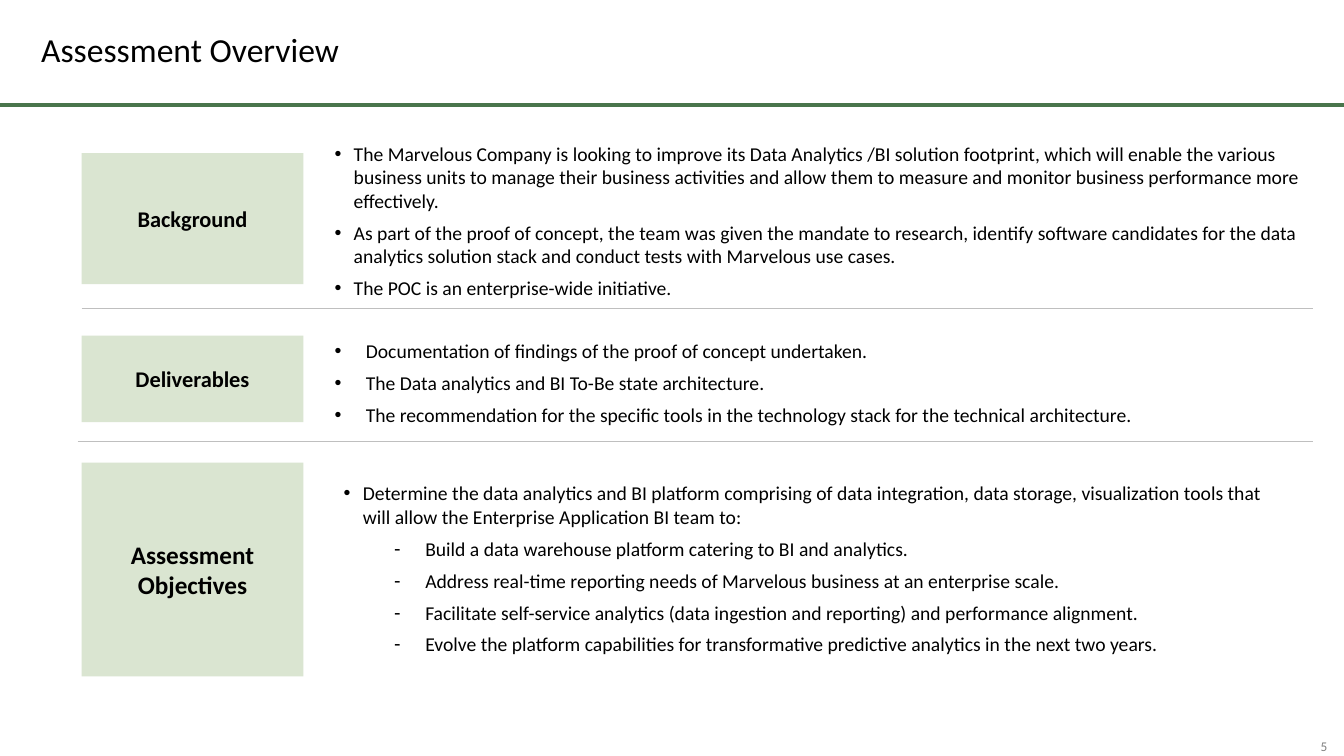
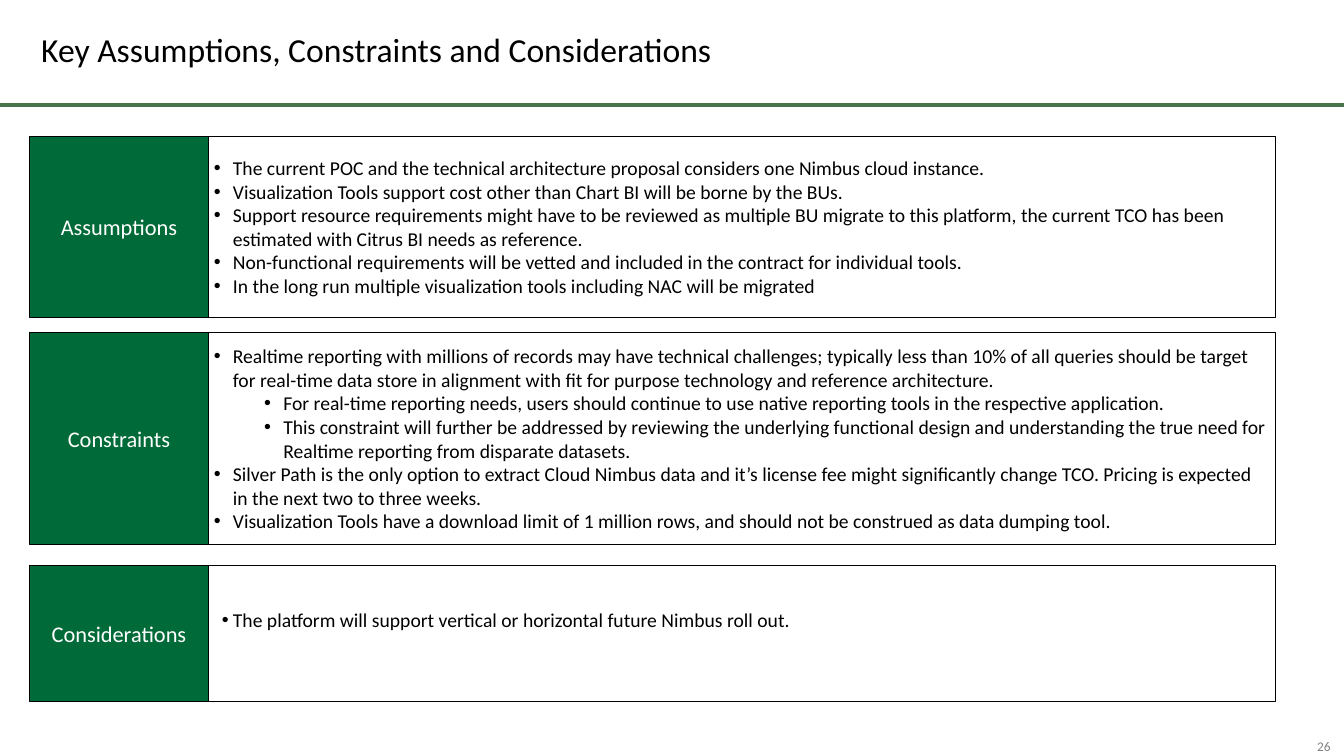
from lxml.etree import SubElement
from pptx import Presentation
from pptx.dml.color import RGBColor
from pptx.enum.shapes import MSO_CONNECTOR, MSO_SHAPE
from pptx.enum.text import MSO_ANCHOR, PP_ALIGN
from pptx.oxml.ns import qn
from pptx.util import Inches, Pt

COLORS = {
    "text": "000000", "inverse": "FFFFFF", "number": "808080", "rule": "49754C",
    "divider": "BFBFBF", "pale": "DAE5D1", "green": "006A38", "panel": "FFFFFF",
}
FONT = "Calibri"

# Size, colour, bold, alignment, line spacing
TEXT_STYLES = {
    "title": (24, "text", False, PP_ALIGN.LEFT, 0.9),
    "number": (9.5, "number", False, PP_ALIGN.CENTER, 1),
    "body": (14, "text", False, PP_ALIGN.LEFT, 1),
    "label": (16, "text", True, PP_ALIGN.CENTER, 1),
    "large label": (18, "text", True, PP_ALIGN.CENTER, 1),
    "green label": (16, "inverse", False, PP_ALIGN.CENTER, 1),
}

# Bullet sign, text indent, hanging indent (inches), outline level
BULLETS = {
    "bullet": ("•", 0.19, 0.19, 0),
    "wide": ("•", 0.31, 0.31, 0),
    "dash": ("‐", 0.81, 0.31, 1),
    "sub": ("•", 0.69, 0.19, 1),
    "tight": ("•", 0.19, 0.11, 0),
}


def add_box(slide, place, paragraphs, style, fill=None, outlined=False,
            insets=(0.1, 0.05, 0.1, 0.05), gap=0):
    """Add a text box or filled rectangle; paragraphs are (bullet, text) pairs."""
    bounds = [Inches(length) for length in place]
    if fill:
        shape = slide.shapes.add_shape(MSO_SHAPE.RECTANGLE, *bounds)
        shape.shadow.inherit = False
        shape.fill.solid()
        shape.fill.fore_color.rgb = RGBColor.from_string(COLORS[fill])
        if outlined:
            shape.line.color.rgb = RGBColor.from_string(COLORS["text"])
            shape.line.width = Pt(0.75)
        else:
            shape.line.fill.background()
    else:
        shape = slide.shapes.add_textbox(*bounds)

    frame = shape.text_frame
    frame.word_wrap = True
    frame.vertical_anchor = MSO_ANCHOR.MIDDLE
    for side, inset in zip(("left", "top", "right", "bottom"), insets):
        setattr(frame, f"margin_{side}", Inches(inset))

    size, color, bold, alignment, line_spacing = TEXT_STYLES[style]
    for index, (bullet, text) in enumerate(paragraphs):
        paragraph = frame.add_paragraph() if index else frame.paragraphs[0]
        layout = {"alignment": alignment, "line_spacing": line_spacing,
                  "space_before": Pt(gap if index else 0)}
        if bullet:
            sign, indent, hanging, layout["level"] = BULLETS[bullet]
        for name, value in layout.items():
            setattr(paragraph, name, value)
        if bullet:
            properties = paragraph._p.get_or_add_pPr()
            properties.set("marL", str(Inches(indent)))
            properties.set("indent", str(-Inches(hanging)))
            SubElement(properties, qn("a:buFont"), typeface="Arial")
            SubElement(properties, qn("a:buChar"), char=sign)
        run = paragraph.add_run()
        run.text = text
        for name, value in {"name": FONT, "size": Pt(size), "bold": bold}.items():
            setattr(run.font, name, value)
        run.font.color.rgb = RGBColor.from_string(COLORS[color])


def add_titled_slide(presentation, title, number, dividers=()):
    """Add a blank slide with title, number, header rule and (left, y) dividers."""
    slide = presentation.slides.add_slide(presentation.slide_layouts[6])
    lines = [(0, 13.33, 1.04, "rule", 2.75)]
    lines += [(left, 13.02, y, "divider", 0.5) for left, y in dividers]
    for left, right, y, color, width in lines:
        line = slide.shapes.add_connector(
            MSO_CONNECTOR.STRAIGHT, Inches(left), Inches(y), Inches(right), Inches(y))
        line.line.color.rgb = RGBColor.from_string(COLORS[color])
        line.line.width = Pt(width)
        SubElement(line._element.spPr, qn("a:effectLst"))
    add_box(slide, (0.31, 0.1, 12.71, 0.83), [(None, title)], "title")
    add_box(slide, (12.92, 7.32, 0.42, 0.17), [(None, number)], "number",
            insets=(0, 0, 0, 0))
    return slide


presentation = Presentation()
presentation.slide_width = Inches(13.33)
presentation.slide_height = Inches(7.5)

# Assessment overview
overview = add_titled_slide(presentation, "Assessment Overview", "5",
                            dividers=[(0.81, 3.06), (0.77, 4.38)])
# Label, label style, label top and height, text place, paragraphs
overview_rows = [
    ("Background", "label", 1.52, 1.3, (3.22, 1.36, 10.04, 1.66), [
        ("bullet", "The Marvelous Company is looking to improve its Data Analytics /BI "
         "solution footprint, which will enable the various business units to manage "
         "their business activities and allow them to measure and monitor business "
         "performance more effectively."),
        ("bullet", "As part of the proof of concept, the team was given the mandate to "
         "research, identify software candidates for the data analytics solution stack "
         "and conduct tests with Marvelous use cases."),
        ("bullet", "The POC is an enterprise-wide initiative."),
    ]),
    ("Deliverables", "label", 3.33, 0.86, (3.22, 3.25, 9.48, 1.1), [
        ("wide", "Documentation of findings of the proof of concept undertaken."),
        ("wide", "The Data analytics and BI To-Be state architecture."),
        ("wide", "The recommendation for the specific tools in the technology stack for "
         "the technical architecture."),
    ]),
    ("Assessment Objectives", "large label", 4.59, 2.12, (3.31, 4.64, 9.4, 2), [
        ("bullet", "Determine the data analytics and BI platform comprising of data "
         "integration, data storage, visualization tools that will allow the "
         "Enterprise Application BI team to:"),
        ("dash", "Build a data warehouse platform catering to BI and analytics."),
        ("dash", "Address real-time reporting needs of Marvelous business at an "
         "enterprise scale."),
        ("dash", "Facilitate self-service analytics (data ingestion and reporting) and "
         "performance alignment."),
        ("dash", "Evolve the platform capabilities for transformative predictive "
         "analytics in the next two years."),
    ]),
]
for label, style, top, height, text_place, paragraphs in overview_rows:
    add_box(overview, (0.81, top, 2.2, height), [(None, label)], style, fill="pale")
    add_box(overview, text_place, paragraphs, "body", gap=6)

# Key assumptions, constraints and considerations
considerations = add_titled_slide(
    presentation, "Key Assumptions, Constraints and Considerations", "26")
# Label, top, height, bottom inset of the text, paragraphs
consideration_rows = [
    ("Assumptions", 1.35, 1.8, 0.1, [
        ("bullet", "The current POC and the technical architecture proposal considers "
         "one Nimbus cloud instance."),
        ("bullet", "Visualization Tools support cost other than Chart BI will be borne "
         "by the BUs."),
        ("bullet", "Support resource requirements might have to be reviewed as multiple "
         "BU migrate to this platform, the current TCO has been estimated with Citrus "
         "BI needs as reference."),
        ("bullet", "Non-functional requirements will be vetted and included in the "
         "contract for individual tools."),
        ("bullet", "In the long run multiple visualization tools including NAC will be "
         "migrated"),
    ]),
    ("Constraints", 3.3, 2.1, 0.1, [
        ("bullet", "Realtime reporting with millions of records may have technical "
         "challenges; typically less than 10% of all queries should be target for "
         "real-time data store in alignment with fit for purpose technology and "
         "reference architecture."),
        ("sub", "For real-time reporting needs, users should continue to use native "
         "reporting tools in the respective application."),
        ("sub", "This constraint will further be addressed by reviewing the underlying "
         "functional design and understanding the true need for Realtime reporting "
         "from disparate datasets."),
        ("bullet", "Silver Path is the only option to extract Cloud Nimbus data and "
         "it’s license fee might significantly change TCO. Pricing is expected in the "
         "next two to three weeks."),
        ("bullet", "Visualization Tools have a download limit of 1 million rows, and "
         "should not be construed as data dumping tool."),
    ]),
    ("Considerations", 5.61, 1.35, 0.37, [
        ("tight", "The platform will support vertical or horizontal future Nimbus roll "
         "out."),
    ]),
]
for label, top, height, bottom_inset, paragraphs in consideration_rows:
    add_box(considerations, (0.29, top, 1.78, height), [(None, label)], "green label",
            fill="green", outlined=True)
    add_box(considerations, (2.07, top, 10.58, height), paragraphs, "body",
            fill="panel", outlined=True, insets=(0.05, 0.1, 0.05, bottom_inset))

presentation.save("out.pptx")
